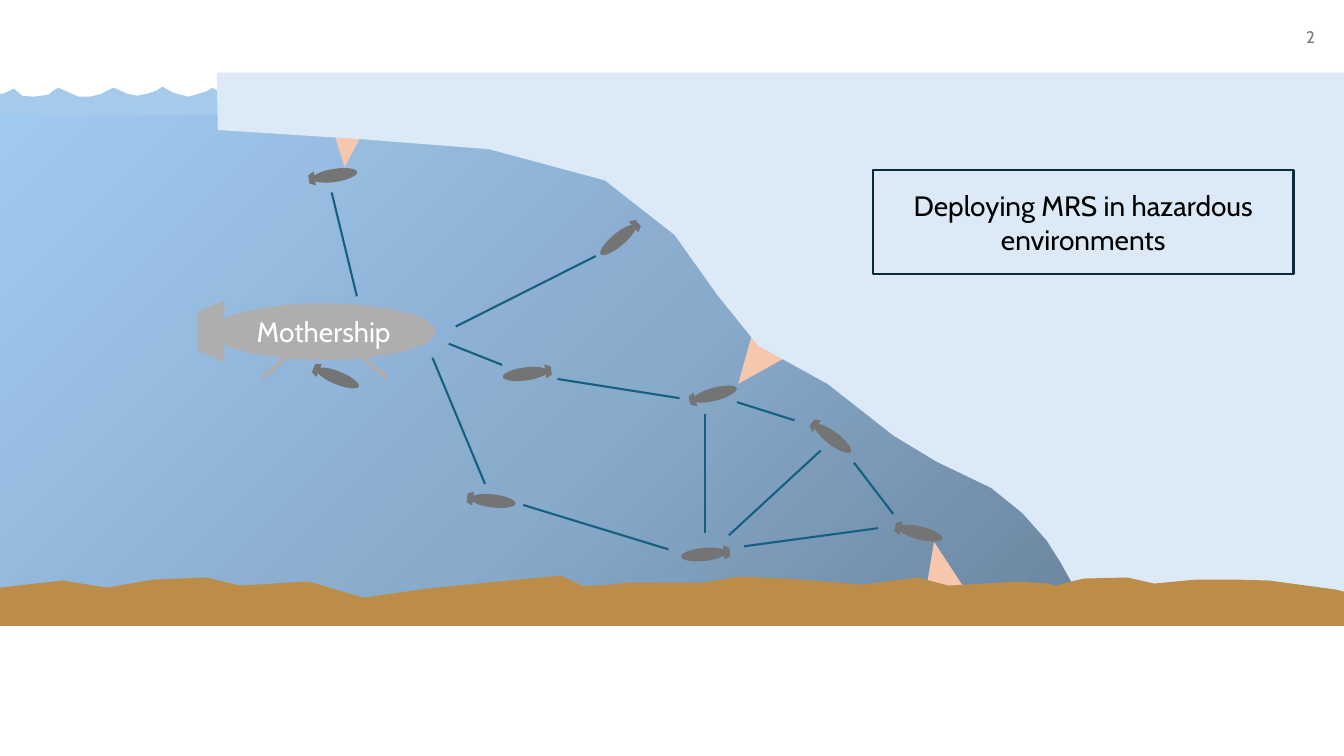
"""Build a slide showing an underwater multi-robot mission below an ice shelf."""
from copy import deepcopy
from math import cos, radians, sin

from lxml import etree
from pptx import Presentation
from pptx.dml.color import RGBColor
from pptx.enum.shapes import MSO_CONNECTOR, MSO_SHAPE
from pptx.enum.text import MSO_ANCHOR, PP_ALIGN
from pptx.oxml.ns import qn
from pptx.util import Cm, Pt

RECT, ELLIPSE = MSO_SHAPE.RECTANGLE, MSO_SHAPE.OVAL
TRIANGLE, TAIL = MSO_SHAPE.ISOSCELES_TRIANGLE, MSO_SHAPE.FLOWCHART_MANUAL_OPERATION
STRAIGHT, MIDDLE = MSO_CONNECTOR.STRAIGHT, MSO_ANCHOR.MIDDLE
CENTER, RIGHT = PP_ALIGN.CENTER, PP_ALIGN.RIGHT

BLACK = RGBColor(0x00, 0x00, 0x00)
WHITE = RGBColor(0xFF, 0xFF, 0xFF)
NUMBER = RGBColor(0x79, 0x79, 0x79)
BORDER = RGBColor(0x09, 0x2A, 0x39)
LINK = RGBColor(0x15, 0x60, 0x82)
SHIP = RGBColor(0xAE, 0xAE, 0xAE)
ROBOT = RGBColor(0x74, 0x74, 0x74)
BEAM = RGBColor(0xF6, 0xC6, 0xAD)
WAVE = RGBColor(0xA6, 0xCA, 0xEC)
ICE = RGBColor(0xDC, 0xEA, 0xF7)
SEABED = RGBColor(0xBB, 0x8D, 0x49)
DEEP = RGBColor(0x5F, 0x78, 0x8F)
MID = RGBColor(0x88, 0xAA, 0xCB)
SHALLOW = RGBColor(0xA1, 0xCA, 0xF1)

WAVES = [
    (0, 0.93), (0.03, 0.93), (0.14, 0.88), (0.22, 0.95), (0.33, 0.96), (0.48, 0.94),
    (0.53, 0.9), (0.58, 0.87), (0.71, 0.93), (0.78, 0.96), (0.89, 0.96), (1.01, 0.93),
    (1.06, 0.9), (1.13, 0.87), (1.26, 0.93), (1.36, 0.95), (1.46, 0.93), (1.55, 0.9),
    (1.61, 0.86), (1.72, 0.92), (1.79, 0.94), (1.87, 0.96), (2.04, 0.91), (2.11, 0.87),
    (2.2, 0.93), (2.2, 1.14), (0, 1.14),
]
ICE_SHELF = [
    (2.15, 0.72), (13.33, 0.72), (13.33, 5.99), (10.72, 5.99), (10.63, 5.78),
    (10.52, 5.58), (10.38, 5.36), (10.14, 5.09), (9.83, 4.84), (9.29, 4.58),
    (8.86, 4.32), (8.21, 3.81), (7.52, 3.43), (7.11, 2.92), (6.69, 2.33), (6, 1.79),
    (4.85, 1.48), (3.56, 1.38), (2.16, 1.29),
]
SEA_FLOOR = [
    (0, 5.83), (0.62, 5.76), (1.06, 5.83), (1.53, 5.75), (2.05, 5.73), (2.38, 5.81),
    (3.02, 5.77), (3.1, 5.78), (3.5, 5.9), (3.61, 5.93), (4.23, 5.84), (5.56, 5.71),
    (5.77, 5.81), (5.93, 5.81), (6.25, 5.78), (6.98, 5.78), (7.33, 5.72), (7.81, 5.74),
    (8.56, 5.8), (9.1, 5.73), (9.41, 5.81), (10.1, 5.77), (10.39, 5.79), (10.46, 5.81),
    (10.75, 5.74), (11.18, 5.73), (11.45, 5.79), (11.87, 5.75), (12.24, 5.75),
    (12.59, 5.76), (13.25, 5.85), (13.33, 5.87), (13.33, 6.21), (0, 6.21),
]
BEAMS = [
    (3.24, 1.18, 0.4, 0.48, 185.1),
    (9.12, 5.37, 0.39, 0.5, 348.1),
    (7.27, 3.38, 0.4, 0.48, 218.2),
]
ROBOTS = [
    (3.35, 3.75, 22.1), (9.13, 5.29, 14.1), (3.32, 1.74, 351.3),
    (7.09, 3.91, 345), (6.98, 5.5, 174.2), (5.21, 3.71, 172.5),
    (4.89, 4.97, 6.7), (6.13, 2.38, 140.1), (8.26, 4.35, 37),
]
LINKS = [
    (8.71, 5.24, 7.38, 5.42), (8.86, 5.1, 8.47, 4.59), (3.54, 2.94, 3.29, 1.91),
    (4.52, 3.24, 5.91, 2.54), (4.45, 3.41, 4.98, 3.62), (4.29, 3.55, 4.81, 4.8),
    (5.19, 5.01, 6.63, 5.45), (5.53, 3.76, 6.74, 3.95), (7.88, 4.17, 7.31, 3.99),
    (8.14, 4.47, 7.23, 5.31), (6.99, 4.11, 6.99, 5.29),
]
LEGS = [(2.91, 3.49, 2.6, 3.75), (3.52, 3.49, 3.84, 3.75)]


def cm(*inches):
    """Turn lengths in inches into Cm lengths."""
    return [Cm(v * 2.54) for v in inches]


def paint(sp, color):
    """Give a shape a flat fill without outline or shadow."""
    sp.shadow.inherit = False
    sp.fill.solid()
    sp.fill.fore_color.rgb = color
    sp.line.fill.background()


def add_preset(s, kind, x, y, w, h, color, rotation=0):
    """Add a filled preset shape."""
    sp = s.shapes.add_shape(kind, *cm(x, y, w, h))
    paint(sp, color)
    sp.rotation = rotation
    return sp


def add_outline(s, points, color):
    """Add a filled polygon through the points."""
    first, *rest = [cm(*point) for point in points]
    builder = s.shapes.build_freeform(*first)
    builder.add_line_segments(rest, close=True)
    paint(builder.convert_to_shape(), color)


def add_line(s, ends, color, width):
    """Add a straight line between two points."""
    line = s.shapes.add_connector(STRAIGHT, *cm(*ends))
    line.line.color.rgb = color
    line.line.width = Pt(width)
    etree.SubElement(line._element.spPr, qn("a:effectLst"))


def add_water(s):
    """Add the sea with a three-colour diagonal gradient."""
    sp = add_preset(s, RECT, 0, 1.12, 13.26, 4.87, MID)
    sp.fill.gradient()
    sp.fill.gradient_angle = 135
    stops = sp._element.spPr.find(".//" + qn("a:gsLst"))
    stops.insert(1, deepcopy(stops[0]))
    for stop, color, position in zip(sp.fill.gradient_stops, (DEEP, MID, SHALLOW), (0, 0.5, 1)):
        stop.color.rgb = color
        stop.position = position


def add_robot(s, x, y, angle):
    """Add a small robot centred at a point, its tail fin behind the body."""
    add_preset(s, ELLIPSE, x - 0.225, y - 0.065, 0.45, 0.13, ROBOT, angle)
    fin_x, fin_y = x - 0.23 * cos(radians(angle)), y - 0.23 * sin(radians(angle))
    add_preset(s, TAIL, fin_x - 0.07, fin_y - 0.03, 0.14, 0.06, ROBOT, (angle + 90) % 360)


def write(sp, text, size, color, align):
    """Write one vertically centred paragraph into a shape."""
    tf = sp.text_frame
    tf.word_wrap = True
    tf.vertical_anchor = MIDDLE
    p = tf.paragraphs[0]
    p.alignment = align
    r = p.add_run()
    r.text = text
    for name, value in {"name": "Cabin", "size": Pt(size)}.items():
        setattr(r.font, name, value)
    r.font.color.rgb = color


def add_mothership(s):
    """Add the labelled mothership with tail and docking legs."""
    hull = add_preset(s, ELLIPSE, 2.1, 3.01, 2.22, 0.56, SHIP)
    write(hull, "Mothership", 20, WHITE, CENTER)
    add_preset(s, TAIL, 1.78, 3.15, 0.62, 0.27, SHIP, 90)
    for leg in LEGS:
        add_line(s, leg, SHIP, 3)


def add_caption(s):
    """Add the framed caption."""
    sp = add_preset(s, RECT, 8.66, 1.69, 4.17, 1.03, ICE)
    sp.fill.background()
    sp.line.color.rgb = BORDER
    sp.line.width = Pt(1.5)
    write(sp, "Deploying MRS in hazardous environments", 20, BLACK, CENTER)


def main():
    """Build and save the slide."""
    prs = Presentation()
    prs.slide_width, prs.slide_height = cm(13.33, 7.5)
    s = prs.slides.add_slide(prs.slide_layouts[6])
    add_water(s)
    for x, y, w, h, angle in BEAMS:
        add_preset(s, TRIANGLE, x, y, w, h, BEAM, angle)
    for points, color in ((WAVES, WAVE), (ICE_SHELF, ICE), (SEA_FLOOR, SEABED)):
        add_outline(s, points, color)
    add_mothership(s)
    for robot in ROBOTS:
        add_robot(s, *robot)
    for link in LINKS:
        add_line(s, link, LINK, 1.5)
    add_caption(s)
    write(s.shapes.add_textbox(*cm(10.14, 0.17, 3, 0.4)), "2", 12, NUMBER, RIGHT)
    prs.save("out.pptx")


if __name__ == "__main__":
    main()
